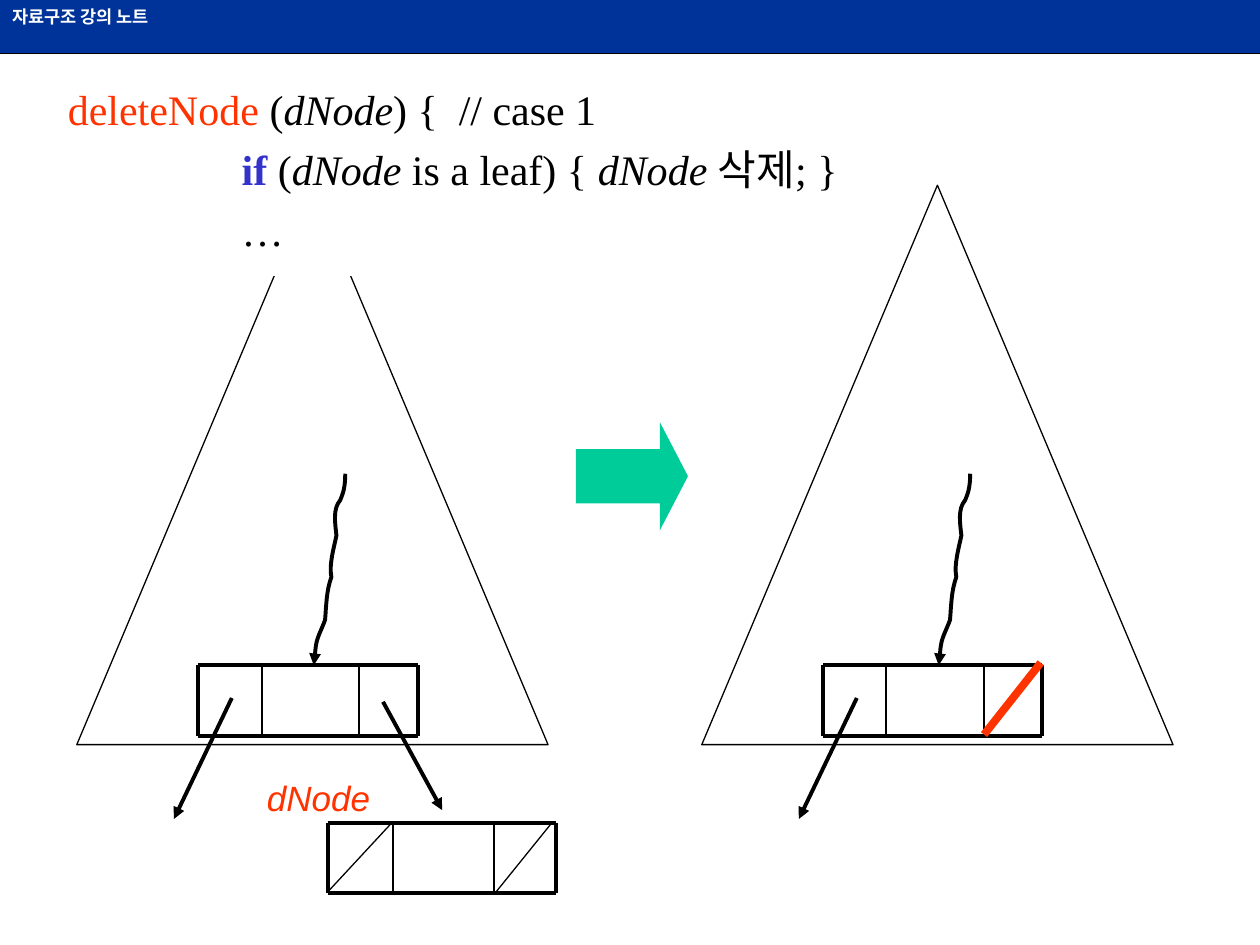
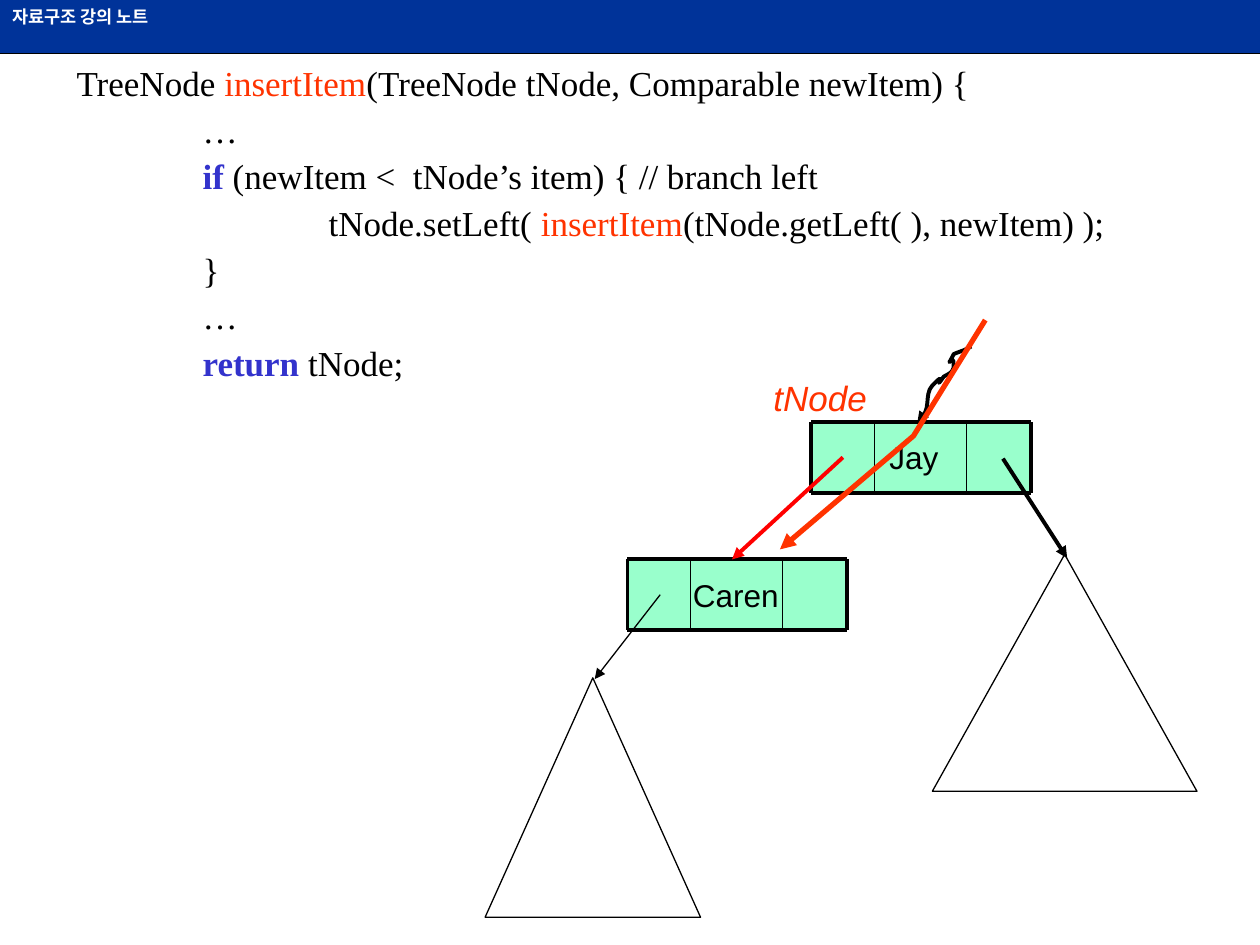
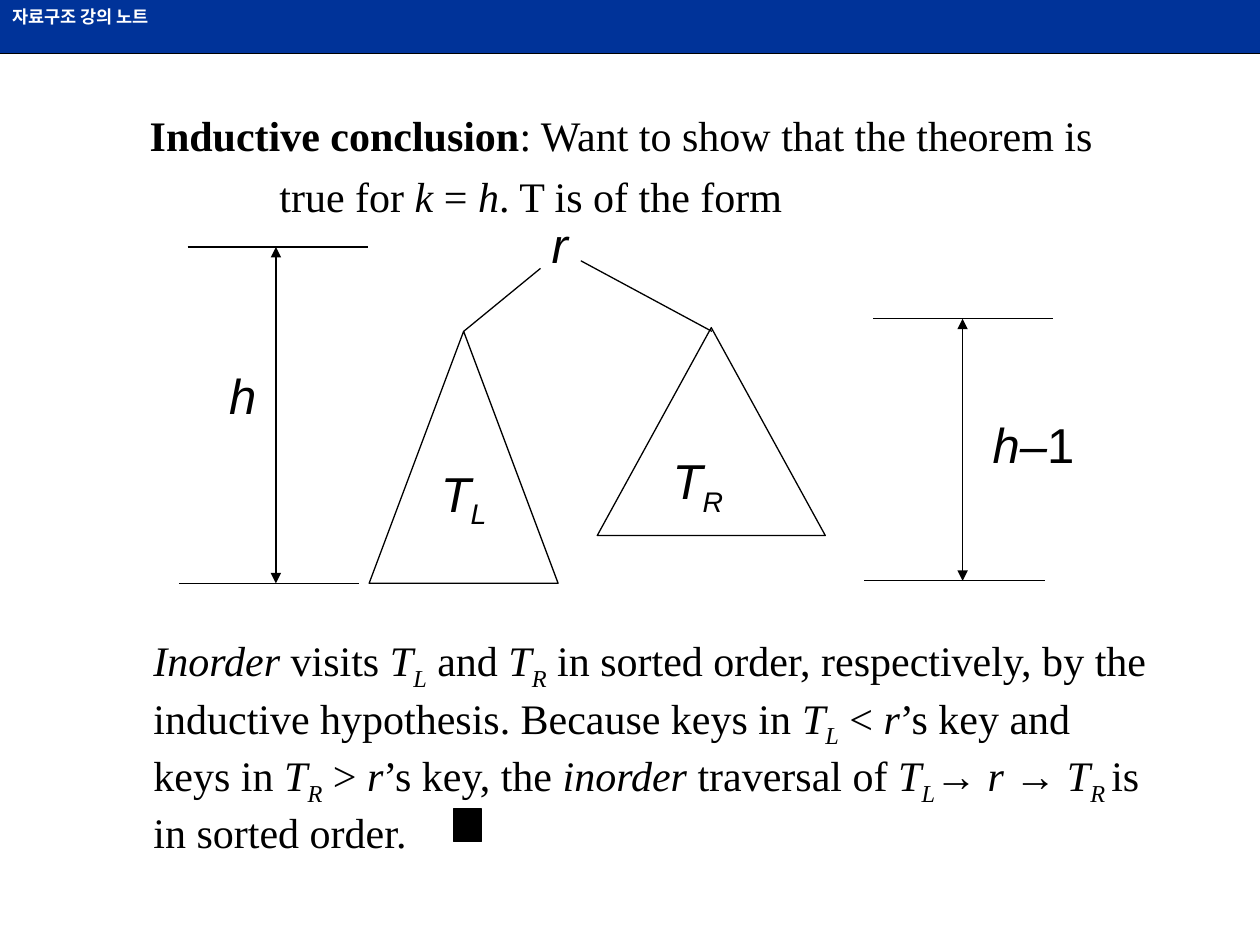
from lxml import etree
from pptx import Presentation
from pptx import util as u
from pptx.dml.color import RGBColor
from pptx.enum import shapes, text
from pptx.oxml import ns

PX = 9144  # 100 px to the inch
BLACK, WHITE, NAVY = "000000", "FFFFFF", "003399"
ORANGE, RED, BLUE = "FF3300", "FF0000", "3333CC"
TEAL, MINT = "00CC99", "99FFCC"
SANS, SERIF = "Arial", "Times New Roman"
RECT = shapes.MSO_SHAPE.RECTANGLE
TRIANGLE = shapes.MSO_SHAPE.ISOSCELES_TRIANGLE
ARROW = shapes.MSO_SHAPE.RIGHT_ARROW


def draw_path(page, points, color=BLACK, width=0.75, ends=()):
    """Draw a connector through two points or an open outline through more.

    ends may hold "headEnd" and "tailEnd" for arrowheads at the first and last point.
    """
    points = [(round(x * PX), round(y * PX)) for x, y in points]
    if len(points) == 2:
        path = page.shapes.add_connector(shapes.MSO_CONNECTOR.STRAIGHT, *points[0], *points[1])
    else:
        outline = page.shapes.build_freeform(*points[0], scale=1.0)
        outline.add_line_segments(points[1:], close=False)
        path = outline.convert_to_shape()
        path.fill.background()
    path.line.color.rgb = RGBColor.from_string(color)
    path.line.width = u.Pt(width)
    properties = path._element.spPr
    for end in ends:
        etree.SubElement(properties.find(ns.qn("a:ln")), ns.qn("a:" + end), type="triangle")
    etree.SubElement(properties, ns.qn("a:effectLst"))


def draw_box(page, kind, place, fill=None, line=None, paragraphs=(), size=18, font=SANS,
             wrap=True, before=0, spacing=None):
    """Draw a preset shape, or a text box when kind is None.

    A paragraph is (left margin, runs); a run is (text, marks, color),
    with marks b for bold, i for italic and _ for subscript.
    """
    place = [length * PX for length in place]
    if kind is None:
        box = page.shapes.add_textbox(*place)
    else:
        box = page.shapes.add_shape(kind, *place)
        box.shadow.inherit = False
    if fill:
        box.fill.solid()
        box.fill.fore_color.rgb = RGBColor.from_string(fill)
    else:
        box.fill.background()
    if line:
        box.line.color.rgb = RGBColor.from_string(line)
        box.line.width = u.Pt(0.75)
    else:
        box.line.fill.background()
    frame = box.text_frame
    frame.word_wrap = wrap
    frame.vertical_anchor = text.MSO_ANCHOR.TOP
    for index, (margin, runs) in enumerate(paragraphs):
        para = frame.add_paragraph() if index else frame.paragraphs[0]
        para.alignment = text.PP_ALIGN.LEFT
        para.space_before = u.Pt(before if index else 0)
        para.line_spacing = spacing
        para._p.get_or_add_pPr().set("marL", str(margin * PX))
        for words, marks, color in runs:
            span = para.add_run()
            span.text = words
            span.font.name = font
            span.font.size = u.Pt(size)
            span.font.bold = "b" in marks
            span.font.italic = "i" in marks
            span.font.color.rgb = RGBColor.from_string(color)
            if "_" in marks:
                span._r.get_or_add_rPr().set("baseline", "-25000")
    return box


deck = Presentation()
deck.slide_width, deck.slide_height = 1000 * PX, 750 * PX
pages = [deck.slides.add_slide(deck.slide_layouts[6]) for _ in range(3)]
delete_page, insert_page, proof_page = pages

# Shared header band
for page in pages:
    draw_path(page, [(0, 42), (1000, 42)], width=1.5)
    draw_box(page, RECT, (0, 0, 1000, 42), NAVY, size=10,
             paragraphs=[(0, [("자료구조 강의 노트", "b", WHITE)])])

# Tree nodes: three cells, a heavy frame and two thin dividers
NODE_HEIGHT = 56
nodes = [
    (delete_page, 157, 528, (51, 77, 47), None),
    (delete_page, 653, 528, (50, 78, 46), None),
    (delete_page, 260, 653, (52, 80, 49), None),
    (insert_page, 644, 335, (50, 73, 51), ("Jay", 696, 59)),
    (insert_page, 498, 444, (50, 73, 51), ("Caren", 540, 88)),
]
for page, left, top, cells, label in nodes:
    edges = [left + sum(cells[:count]) for count in range(4)]
    right, bottom = edges[-1], top + NODE_HEIGHT
    if label:
        for edge, cell in zip(edges, cells):
            draw_box(page, RECT, (edge, top, cell, NODE_HEIGHT), MINT)
        name, label_left, label_width = label
        draw_box(page, RECT, (label_left, top + 8, label_width, 40), MINT, wrap=False,
                 paragraphs=[(0, [(name, "", BLACK)])])
    for y in (top, bottom):
        draw_path(page, [(left, y), (right, y)], width=2.25)
    for x in edges:
        draw_path(page, [(x, top), (x, bottom)], width=2.25 if x in (left, right) else 1)

# Wavy links into nodes, as cubic Bezier control points
leaf_wave = [(249, 528), (250, 522), (250, 516), (251, 511), (252, 505), (256, 498), (258, 492),
             (259, 480), (259, 469), (263, 458), (261, 448), (265, 435), (267, 425),
             (266, 415), (264, 404), (270, 397), (273, 390), (274, 385), (274, 376)]
insert_wave = [(771, 275), (769, 276), (767, 277), (765, 278), (762, 279), (757, 281), (757, 281),
               (749, 297), (757, 277), (757, 290), (757, 296), (752, 297), (749, 299),
               (739, 313), (754, 291), (740, 306), (733, 313), (740, 328), (729, 332),
               (729, 333), (728, 336), (728, 336)]
waves = [(delete_page, 0, leaf_wave, "headEnd"), (delete_page, 496, leaf_wave, "headEnd"),
         (insert_page, 0, insert_wave, "tailEnd")]
STEPS = 8
for page, shift, controls, end in waves:
    points = [controls[0]]
    for start in range(0, len(controls) - 1, 3):
        for step in range(1, STEPS + 1):
            t = step / STEPS
            weights = ((1 - t) ** 3, 3 * t * (1 - t) ** 2, 3 * t * t * (1 - t), t ** 3)
            curve = list(zip(weights, controls[start:start + 4]))
            points.append((sum(w * x for w, (x, _) in curve), sum(w * y for w, (_, y) in curve)))
    draw_path(page, [(x + shift, y) for x, y in points], width=2.25, ends=[end])

# Slide 1: deleting a leaf
draw_box(delete_page, TRIANGLE, (61, 147, 374, 444), line=BLACK)
draw_box(delete_page, RECT, (44, 61, 683, 158), WHITE, size=24, font=SERIF, before=6, paragraphs=[
    (0, [("deleteNode", "", ORANGE), (" (", "", BLACK), ("dNode", "i", BLACK),
         (") {  // case 1", "", BLACK)]),
    (138, [("if ", "b", BLUE), ("(", "", BLACK), ("dNode", "i", BLACK),
           (" is a leaf) { ", "", BLACK), ("dNode ", "i", BLACK), ("삭제; }", "", BLACK)]),
    (138, [("…", "", BLACK)]),
])
draw_box(delete_page, TRIANGLE, (557, 147, 374, 444), line=BLACK)
for shift in (0, 496):
    draw_path(delete_page, [(184 + shift, 554), (138 + shift, 650)], width=2.25, ends=["tailEnd"])
draw_path(delete_page, [(304, 557), (351, 643)], width=2.25, ends=["tailEnd"])
draw_path(delete_page, [(438, 653), (392, 710)])
draw_path(delete_page, [(311, 653), (260, 708)])
draw_path(delete_page, [(826, 526), (781, 583)], ORANGE, 4.5)
arrow = draw_box(delete_page, ARROW, (457, 335, 89, 86), TEAL)
arrow.adjustments[1] = 0.26
draw_box(delete_page, None, (202, 611, 102, 44), size=20, wrap=False,
         paragraphs=[(0, [("dNode", "i", ORANGE)])])

# Slide 2: inserting to the left
draw_box(insert_page, None, (51, 48, 890, 262), size=20, font=SERIF, before=5, spacing=0.9,
         paragraphs=[
             (0, [("TreeNode ", "", BLACK), ("insertItem", "", ORANGE),
                  ("(TreeNode tNode, Comparable newItem) {", "", BLACK)]),
             (100, [("…", "", BLACK)]),
             (100, [("if", "b", BLUE),
                    (" (newItem <  tNode’s item) { // branch left", "", BLACK)]),
             (200, [("tNode.setLeft( ", "", BLACK), ("insertItem", "", ORANGE),
                    ("(tNode.getLeft( ), newItem) );", "", BLACK)]),
             (100, [("}", "", BLACK)]),
             (100, [("…", "", BLACK)]),
             (100, [("return", "b", BLUE), (" tNode;", "", BLACK)]),
         ])
for subtree in [(385, 538, 171, 190), (740, 440, 210, 188)]:
    draw_box(insert_page, TRIANGLE, subtree, line=BLACK)
draw_box(insert_page, None, (604, 294, 94, 44), size=20, wrap=False,
         paragraphs=[(0, [("tNode", "i", ORANGE)])])
for points, color, width in [
    ([(669, 363), (581, 444)], RED, 2.25),
    ([(796, 364), (847, 443)], BLACK, 2.25),
    ([(524, 472), (472, 539)], BLACK, 0.75),
    ([(782, 254), (725, 346), (619, 436)], ORANGE, 3),
]:
    draw_path(insert_page, points, color, width, ["tailEnd"])

# Slide 3: inductive conclusion
left_tree = [("T", "i", BLACK), ("L", "i_", BLACK)]
right_tree = [("T", "i", BLACK), ("R", "i_", BLACK)]
root = ("r", "i", BLACK)
draw_box(proof_page, None, (71, 82, 850, 93), size=24, font=SERIF, before=6, paragraphs=[
    (38, [("Inductive conclusion", "b", BLACK),
          (": Want to show that the theorem is", "", BLACK)]),
    (141, [("true for ", "", BLACK), ("k", "i", BLACK), (" = ", "", BLACK), ("h", "i", BLACK),
           (". T is of the form", "", BLACK)]),
])
for place, runs in [
    ((428, 165, 33, 57), [root]),
    ((340, 363, 56, 63), left_tree),
    ((524, 353, 60, 63), right_tree),
    ((172, 285, 41, 57), [("h", "i", BLACK)]),
    ((778, 324, 85, 57), [("h–", "i", BLACK), ("1", "", BLACK)]),
]:
    draw_box(proof_page, None, place, size=28, wrap=False, paragraphs=[(0, runs)])
for subtree in [(293, 263, 150, 200), (474, 260, 181, 165)]:
    draw_box(proof_page, TRIANGLE, subtree, line=BLACK)
draw_path(proof_page, [(429, 213), (368, 263)])
draw_path(proof_page, [(461, 207), (565, 263)])
for left, top, bottom, middle in [(149, 196, 463, 219), (693, 253, 461, 764)]:
    draw_path(proof_page, [(left, top), (left + 143, top)])
    draw_path(proof_page, [(left - 7, bottom), (left + 136, bottom)])
    draw_path(proof_page, [(middle, top), (middle, bottom)], ends=["headEnd", "tailEnd"])
draw_box(proof_page, None, (74, 499, 850, 197), size=24, font=SERIF, paragraphs=[(38, [
    ("Inorder", "i", BLACK), (" visits ", "", BLACK), *left_tree, (" and ", "", BLACK),
    *right_tree,
    (" in sorted order, respectively, by the inductive hypothesis. Because keys in ", "", BLACK),
    *left_tree, (" < ", "", BLACK), root, ("’s key and keys in ", "", BLACK),
    *right_tree, (" > ", "", BLACK), root, ("’s key, the ", "", BLACK),
    ("inorder", "i", BLACK), (" traversal of ", "", BLACK), *left_tree,
    ("→ r → T", "i", BLACK), ("R ", "i_", BLACK), ("is in sorted order.", "", BLACK),
])])
draw_box(proof_page, RECT, (360, 642, 22, 26), BLACK, BLACK)

deck.save("out.pptx")
